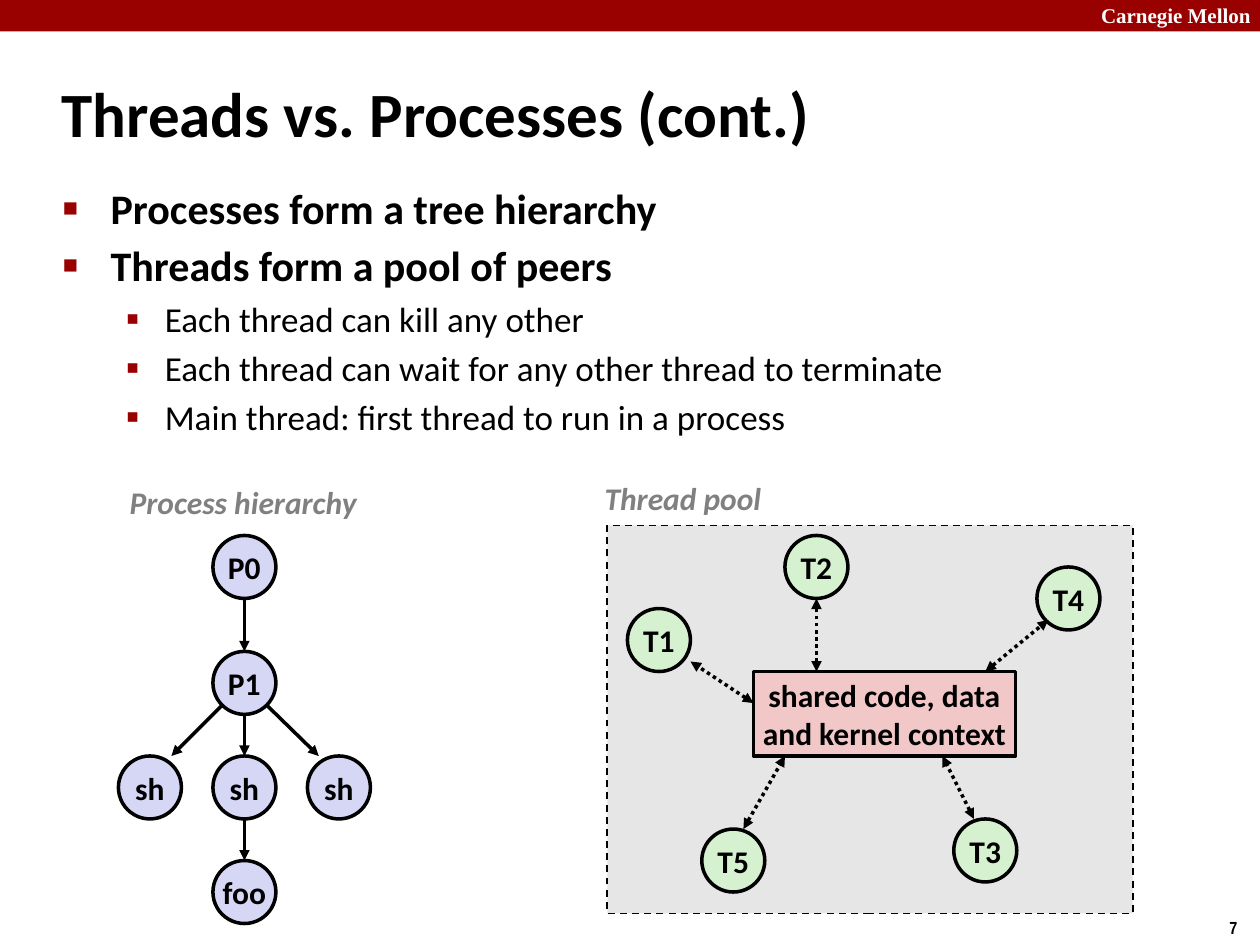
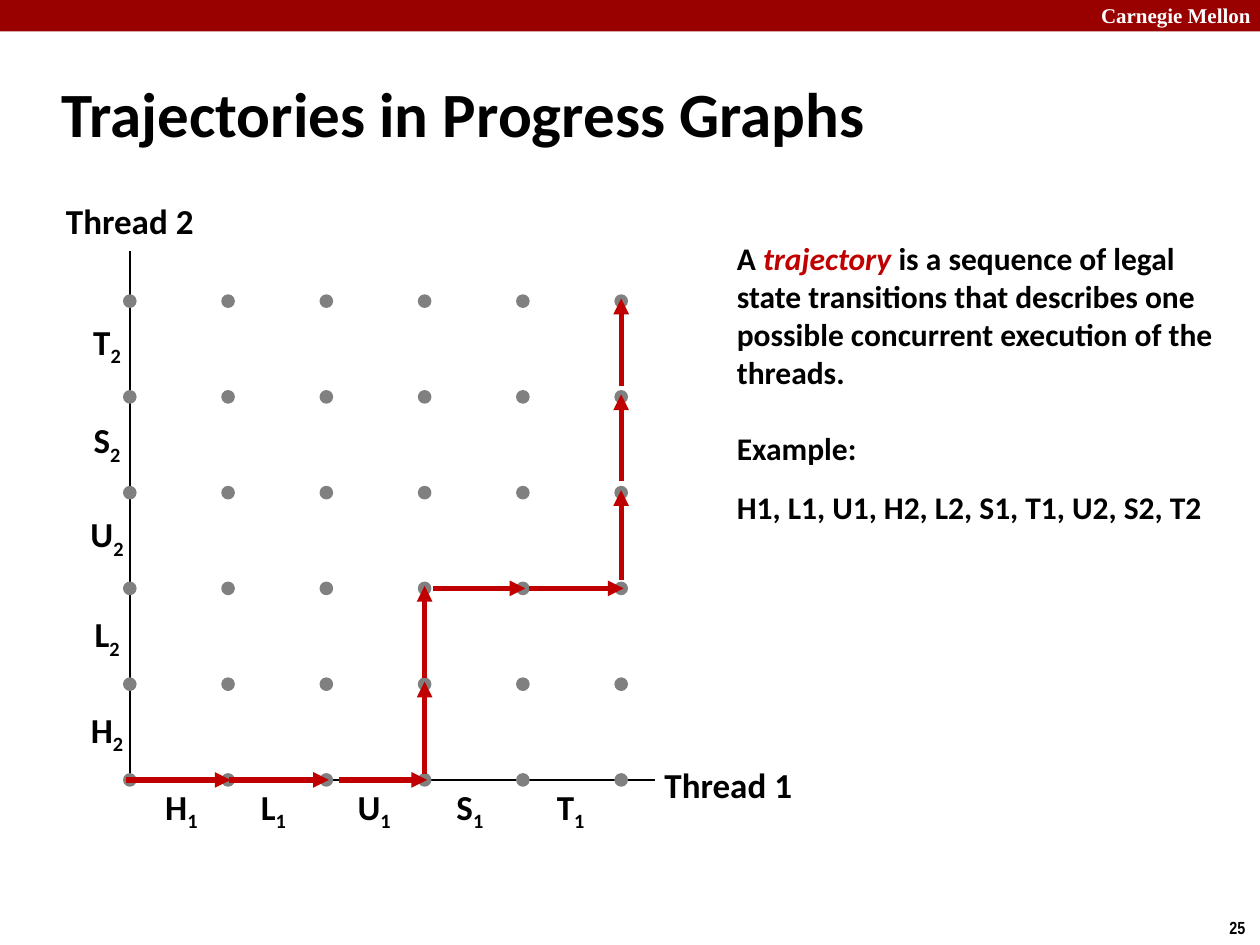
"""Builds two lecture slides on threads: process trees and progress graphs."""
from dataclasses import dataclass

from lxml.etree import SubElement
from pptx import Presentation
from pptx.dml.color import RGBColor
from pptx.enum.dml import MSO_LINE
from pptx.enum.shapes import MSO_CONNECTOR, MSO_SHAPE
from pptx.enum.text import MSO_ANCHOR, PP_ALIGN
from pptx.oxml.ns import qn
from pptx.util import Inches, Pt


@dataclass(frozen=True)
class Theme:
    band: str = "990000"
    accent: str = "C00000"
    ink: str = "000000"
    paper: str = "FFFFFF"
    gray: str = "808080"
    pool: str = "E6E6E6"
    process: str = "D6D6F5"
    thread: str = "D5F1CF"
    shared: str = "F1C7C7"
    font: str = "Calibri"
    band_font: str = "Times New Roman"
    bullet_font: str = "Times New Roman"
    number_font: str = "Arial Narrow"
    title_size: int = 36
    point_size: int = 24
    detail_size: int = 20
    label_size: int = 18
    band_size: int = 12
    number_size: int = 10


THEME = Theme()

BULLETS = [
    (0, "Processes form a tree hierarchy"),
    (0, "Threads form a pool of peers"),
    (1, "Each thread can kill any other"),
    (1, "Each thread can wait for any other thread to terminate"),
    (1, "Main thread: first thread to run in a process"),
]
BULLET_LEVELS = [
    dict(character="■", percent=60, margin=0.38, hanging=0.38, size=THEME.point_size, bold=True),
    dict(character="▪", percent=110, margin=0.81, hanging=0.31, size=THEME.detail_size, bold=False),
]

NODE_SIZE = 0.5
PROCESSES = [
    ("P0", 1.69, 4.25),
    ("P1", 1.69, 5.17),
    ("sh", 0.94, 6),
    ("sh", 1.69, 6),
    ("sh", 2.44, 6),
    ("foo", 1.69, 6.83),
]
PROCESS_ARROWS = [
    ((1.94, 4.75), (1.94, 5.17)),
    ((1.77, 5.59), (1.36, 6)),
    ((1.94, 5.67), (1.94, 6)),
    ((2.11, 5.59), (2.53, 6)),
    ((1.94, 6.5), (1.94, 6.83)),
]
THREADS = [
    ("T1", 4.98, 4.83),
    ("T2", 6.23, 4.25),
    ("T4", 8.23, 4.5),
    ("T5", 5.57, 6.58),
    ("T3", 7.57, 6.5),
]
THREAD_ARROWS = [
    ((5.9, 6.58), (6.23, 6)),
    ((7.73, 6.5), (7.48, 6)),
    ((5.98, 5.58), (5.48, 5.25)),
    ((6.48, 5.33), (6.48, 4.75)),
    ((7.82, 5.33), (8.32, 4.92)),
]

ORIGIN = (1.03, 6.19)
STEP = (0.78, 0.76)
DOTS_PER_SIDE = 6
DOT_SIZE = 0.08
AXES = [(5.2, 6.19), (1.03, 1.99)]
AXIS_TITLES = [("Thread 1", 5.17, 6.01), ("Thread 2", 0.42, 1.53)]
OPERATION_LABEL = (0.7, 0.44)
OPERATIONS = [
    ("H", 1.44, 5.81),
    ("L", 2.17, 5.05),
    ("U", 2.97, 4.26),
    ("S", 3.73, 3.51),
    ("T", 4.53, 2.73),
]
TRAJECTORY = [
    ("H1", -0.03), ("L1", 0.01), ("U1", 0.1), ("H2", 0.05), ("L2", 0.05),
    ("S1", 0.07), ("T1", 0.05), ("U2", 0.07), ("S2", 0.09), ("T2", 0.09),
]
OVERSHOOT = 0.02
DEFINITION = [
    ("A ", {}),
    ("trajectory", dict(color=THEME.accent, italic=True)),
    (" is a sequence of legal state transitions that describes one possible "
     "concurrent execution of the threads.", {}),
]


def rgb(color):
    return RGBColor.from_string(color)


def write(paragraph, text, *, size=THEME.label_size, color=THEME.ink, font=THEME.font,
          bold=True, italic=False, baseline=None):
    run = paragraph.add_run()
    run.text = text
    run.font.size = Pt(size)
    run.font.name = font
    run.font.bold = bold
    run.font.italic = italic
    run.font.color.rgb = rgb(color)
    if baseline:
        run.font._element.set("baseline", str(baseline * 1000))


def add_text_box(slide, left, top, width, height, text="", *, wrap=True,
                 anchor=MSO_ANCHOR.TOP, align=PP_ALIGN.LEFT, **style):
    box = slide.shapes.add_textbox(Inches(left), Inches(top), Inches(width), Inches(height))
    frame = box.text_frame
    frame.word_wrap = wrap
    frame.vertical_anchor = anchor
    paragraph = frame.paragraphs[0]
    paragraph.alignment = align
    if text:
        write(paragraph, text, **style)
    return frame


def add_label(slide, left, top, width, height, text="", **style):
    return add_text_box(slide, left, top, width, height, text, wrap=False,
                        anchor=MSO_ANCHOR.MIDDLE, align=PP_ALIGN.CENTER, **style)


def add_box(slide, kind, left, top, width, height, fill, *, line=None, line_width=2,
            dash=None, lines=()):
    shape = slide.shapes.add_shape(kind, Inches(left), Inches(top), Inches(width), Inches(height))
    shape.shadow.inherit = False
    shape.fill.solid()
    shape.fill.fore_color.rgb = rgb(fill)
    if line:
        shape.line.color.rgb = rgb(line)
        shape.line.width = Pt(line_width)
        if dash:
            shape.line.dash_style = dash
    else:
        shape.line.fill.background()
    frame = shape.text_frame
    frame.word_wrap = False
    frame.vertical_anchor = MSO_ANCHOR.MIDDLE
    for index, text in enumerate(lines):
        paragraph = frame.add_paragraph() if index else frame.paragraphs[0]
        paragraph.alignment = PP_ALIGN.CENTER
        write(paragraph, text)
    return shape


def add_line(slide, start, end, *, color=THEME.ink, width=2, dash=None, arrows=()):
    points = [Inches(value) for value in (*start, *end)]
    connector = slide.shapes.add_connector(MSO_CONNECTOR.STRAIGHT, *points)
    connector.line.color.rgb = rgb(color)
    connector.line.width = Pt(width)
    if dash:
        connector.line.dash_style = dash
    properties = connector._element.spPr
    for arrow in arrows:
        SubElement(properties.find(qn("a:ln")), qn(f"a:{arrow}"), type="triangle")
    SubElement(properties, qn("a:effectLst"))


def add_bullet(paragraph, *, character, percent, margin, hanging):
    properties = paragraph._p.get_or_add_pPr()
    properties.set("marL", str(Inches(margin)))
    properties.set("indent", str(-Inches(hanging)))
    color = SubElement(properties, qn("a:buClr"))
    SubElement(color, qn("a:srgbClr"), val=THEME.band)
    SubElement(properties, qn("a:buSzPct"), val=str(percent * 1000))
    SubElement(properties, qn("a:buFont"), typeface=THEME.bullet_font)
    SubElement(properties, qn("a:buChar"), char=character)


def add_slide(presentation, title, number):
    slide = presentation.slides.add_slide(presentation.slide_layouts[6])
    add_box(slide, MSO_SHAPE.RECTANGLE, 0, 0, 10, 0.25, THEME.band)
    add_text_box(slide, 8.64, -0.03, 1.43, 0.3, "Carnegie Mellon", size=THEME.band_size,
                 color=THEME.paper, font=THEME.band_font)
    number_frame = add_text_box(slide, 9.66, 7.23, 0.34, 0.27, str(number),
                                size=THEME.number_size, font=THEME.number_font)
    number_frame.margin_right = 0
    add_text_box(slide, 0.39, 0.48, 8.3, 0.83, title, anchor=MSO_ANCHOR.MIDDLE,
                 size=THEME.title_size)
    return slide


def add_nodes(slide, nodes, fill):
    for name, left, top in nodes:
        add_box(slide, MSO_SHAPE.OVAL, left, top, NODE_SIZE, NODE_SIZE, fill,
                line=THEME.ink, lines=[name])


def build_comparison(presentation):
    slide = add_slide(presentation, "Threads vs. Processes (cont.)", 7)
    frame = add_text_box(slide, 0.4, 1.4, 8.64, 2.3)
    for index, (level, text) in enumerate(BULLETS):
        paragraph = frame.add_paragraph() if index else frame.paragraphs[0]
        style = dict(BULLET_LEVELS[level])
        size, bold = style.pop("size"), style.pop("bold")
        add_bullet(paragraph, **style)
        if index:
            paragraph.space_before = Pt(4)
        write(paragraph, text, size=size, bold=bold)

    add_label(slide, 0.92, 3.78, 2.02, 0.4, "Process hierarchy", color=THEME.gray, italic=True)
    add_nodes(slide, PROCESSES, THEME.process)
    for start, end in PROCESS_ARROWS:
        add_line(slide, start, end, arrows=["tailEnd"])

    add_label(slide, 4.69, 3.75, 1.46, 0.4, "Thread pool", color=THEME.gray, italic=True)
    add_box(slide, MSO_SHAPE.RECTANGLE, 4.82, 4.17, 4.17, 3.08, THEME.pool,
            line=THEME.ink, line_width=1, dash=MSO_LINE.DASH)
    add_nodes(slide, THREADS, THEME.thread)
    add_box(slide, MSO_SHAPE.RECTANGLE, 5.98, 5.33, 2.08, 0.67, THEME.shared,
            line=THEME.ink, lines=["shared code, data", "and kernel context"])
    for start, end in THREAD_ARROWS:
        add_line(slide, start, end, dash=MSO_LINE.ROUND_DOT, arrows=["headEnd", "tailEnd"])


def grid_point(column, row):
    return ORIGIN[0] + column * STEP[0], ORIGIN[1] - row * STEP[1]


def add_trajectory(slide):
    column = row = 0
    for operation, gap in TRAJECTORY:
        x, y = grid_point(column, row)
        if operation.endswith("1"):
            column += 1
            start, end = (x + gap, y), (x + STEP[0] + OVERSHOOT, y)
        else:
            row += 1
            start, end = (x, y - gap), (x, y - STEP[1] - OVERSHOOT)
        add_line(slide, start, end, color=THEME.accent, width=3, arrows=["tailEnd"])


def build_progress_graph(presentation):
    slide = add_slide(presentation, "Trajectories in Progress Graphs", 25)
    frame = add_text_box(slide, 5.75, 1.84, 4.17, 2.39, anchor=MSO_ANCHOR.MIDDLE)
    for text, style in DEFINITION:
        write(frame.paragraphs[0], text, **style)
    for text, space in [("Example:", 22), ("H1, L1, U1, H2, L2, S1, T1, U2, S2, T2", 12)]:
        paragraph = frame.add_paragraph()
        paragraph.space_before = Pt(space)
        write(paragraph, text)

    for end in AXES:
        add_line(slide, ORIGIN, end, width=1)
    for title, left, top in AXIS_TITLES:
        add_label(slide, left, top, 1.22, 0.44, title, size=THEME.detail_size)
    width, height = OPERATION_LABEL
    for letter, center_x, center_y in OPERATIONS:
        for thread, x, y in [("1", center_x, 6.42), ("2", 0.85, center_y)]:
            label = add_label(slide, x - width / 2, y - height / 2, width, height, letter,
                              size=THEME.detail_size)
            write(label.paragraphs[0], thread, size=THEME.detail_size, baseline=-25)

    for column in range(DOTS_PER_SIDE):
        for row in range(DOTS_PER_SIDE):
            x, y = grid_point(column, row)
            add_box(slide, MSO_SHAPE.OVAL, x - DOT_SIZE / 2, y - DOT_SIZE / 2,
                    DOT_SIZE, DOT_SIZE, THEME.gray, line=THEME.gray)
    add_trajectory(slide)


def main():
    presentation = Presentation()
    presentation.slide_width = Inches(10)
    presentation.slide_height = Inches(7.5)
    build_comparison(presentation)
    build_progress_graph(presentation)
    presentation.save("out.pptx")


if __name__ == "__main__":
    main()
